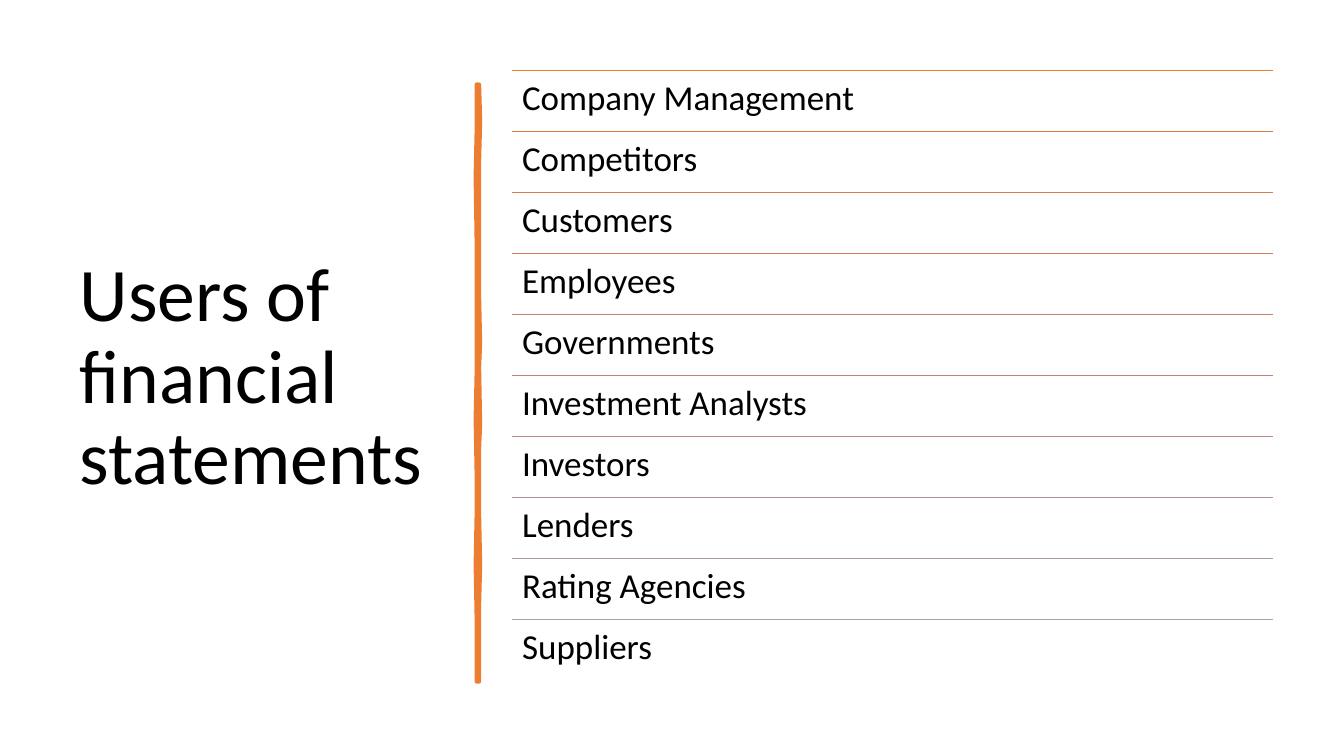
import pptx
import pptx.util
import pptx.dml.color
import pptx.enum.shapes
import pptx.enum.text
import pptx.oxml.ns
from lxml import etree

Inches = pptx.util.Inches
Pt = pptx.util.Pt
RGBColor = pptx.dml.color.RGBColor

BLACK = RGBColor(0x00, 0x00, 0x00)
ORANGE = RGBColor(0xED, 0x7D, 0x31)
USERS = [
    ("Company Management", ORANGE),
    ("Competitors", RGBColor(0xE3, 0x7A, 0x40)),
    ("Customers", RGBColor(0xDA, 0x7A, 0x4E)),
    ("Employees", RGBColor(0xD1, 0x7B, 0x5C)),
    ("Governments", RGBColor(0xC8, 0x7F, 0x69)),
    ("Investment Analysts", RGBColor(0xC0, 0x83, 0x76)),
    ("Investors", RGBColor(0xB9, 0x8A, 0x82)),
    ("Lenders", RGBColor(0xB2, 0x92, 0x8E)),
    ("Rating Agencies", RGBColor(0xAB, 0x9B, 0x9A)),
    ("Suppliers", RGBColor(0xA5, 0xA5, 0xA5)),
]
LEFT, TOP, WIDTH, STEP = 5.08, 0.7, 7.55, 0.605


def style(para, size):
    para.alignment = pptx.enum.text.PP_ALIGN.LEFT
    para.line_spacing = 0.9
    for run in para.runs:
        run.font.name = "Calibri"
        run.font.size = Pt(size)
        run.font.color.rgb = BLACK


deck = pptx.Presentation()
deck.slide_width = Inches(13.33)
deck.slide_height = Inches(7.5)
slide = deck.slides.add_slide(deck.slide_layouts[5])
shapes = slide.shapes

title = shapes.title
title.left, title.top = Inches(0.69), Inches(0.7)
title.width, title.height = Inches(3.74), Inches(6.11)
frame = title.text_frame
frame.text = "Users of financial statements"
frame.word_wrap = True
frame.auto_size = pptx.enum.text.MSO_AUTO_SIZE.NONE
frame.vertical_anchor = pptx.enum.text.MSO_ANCHOR.MIDDLE
style(frame.paragraphs[0], 54)

right = [(475, 84), (476, 120), (475, 160), (475, 294), (476, 340), (475, 365),
         (476, 420), (475, 445), (475, 510), (476, 560), (475, 600), (475, 676)]
left = [(473, 676), (473, 613), (472, 560), (473, 510), (473, 470), (472, 415),
        (473, 370), (473, 240), (472, 175), (473, 130), (473, 84)]
pen = shapes.build_freeform(*right[0], scale=Inches(0.01))
pen.add_line_segments(right[1:] + left, close=True)
bar = pen.convert_to_shape()
bar.shadow.inherit = False
bar.fill.solid()
bar.fill.fore_color.rgb = ORANGE
bar.line.color.rgb = ORANGE
bar.line.width = Pt(3.25)

for row, (user, color) in enumerate(USERS):
    y = Inches(TOP + row * STEP)
    rule = shapes.add_connector(
        pptx.enum.shapes.MSO_CONNECTOR.STRAIGHT,
        Inches(LEFT), y, Inches(LEFT + WIDTH), y)
    rule.line.color.rgb = color
    rule.line.width = Pt(1)
    etree.SubElement(rule._element.spPr, pptx.oxml.ns.qn("a:effectLst"))

    box = shapes.add_textbox(Inches(LEFT), y, Inches(WIDTH), Inches(STEP))
    frame = box.text_frame
    frame.word_wrap = True
    frame.margin_left = frame.margin_right = Inches(0.1)
    frame.margin_top = frame.margin_bottom = Inches(0.1)
    frame.text = user
    style(frame.paragraphs[0], 25)

deck.save("out.pptx")
